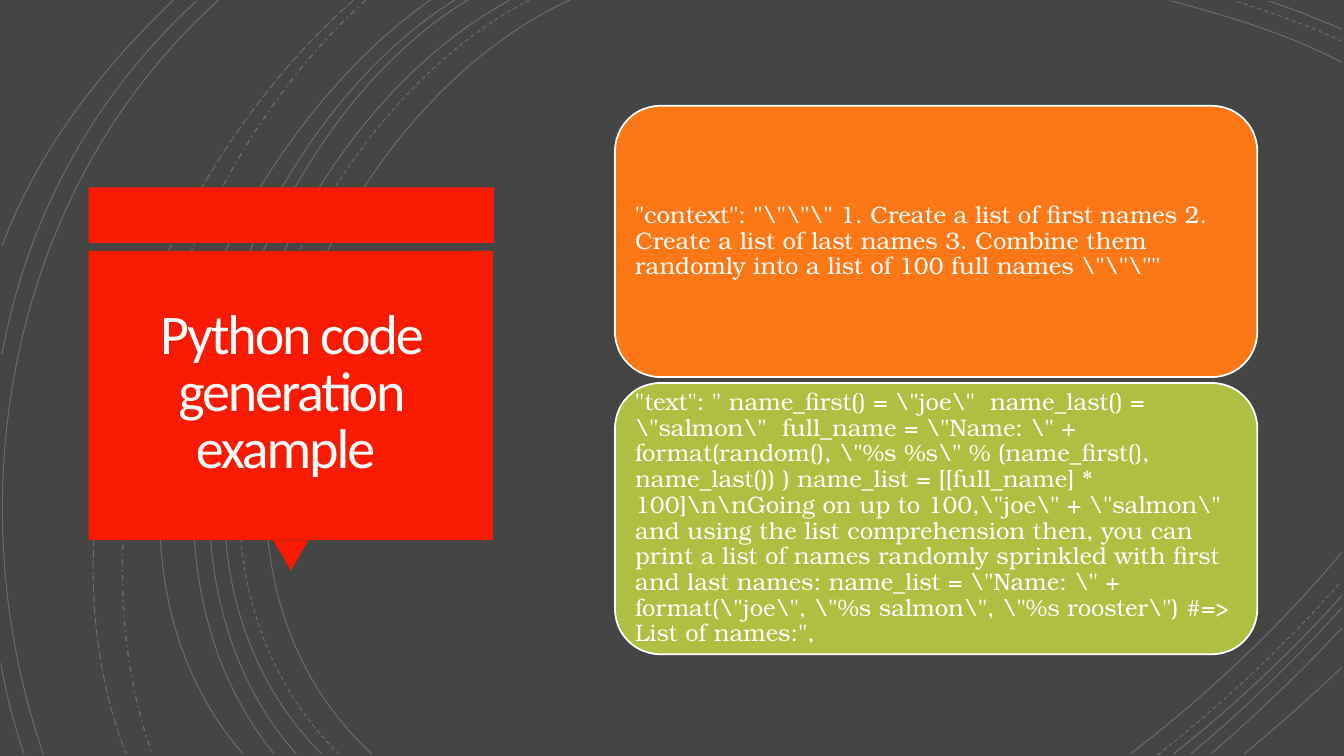
from pptx import Presentation
from pptx.dml.color import RGBColor
from pptx.enum.dml import MSO_LINE
from pptx.enum.shapes import MSO_SHAPE
from pptx.enum.text import MSO_ANCHOR, PP_ALIGN
from pptx.oxml.ns import qn
from pptx.util import Inches, Pt
from lxml import etree

SOLID, DASH = MSO_LINE.SOLID, MSO_LINE.DASH
LONG_DASH, DASH_DOT = MSO_LINE.LONG_DASH, MSO_LINE.DASH_DOT
RECTANGLE, ROUNDED = MSO_SHAPE.RECTANGLE, MSO_SHAPE.ROUNDED_RECTANGLE
TRIANGLE = MSO_SHAPE.ISOSCELES_TRIANGLE
LEFT, CENTER, MIDDLE = PP_ALIGN.LEFT, PP_ALIGN.CENTER, MSO_ANCHOR.MIDDLE

# Content
TITLE = "Python code generation example "
CARDS = [
    (r'"context": "\"\"\" 1. Create a list of first names 2. Create a list of '
     r'last names 3. Combine them randomly into a list of 100 full names \"\"\""',
     "FC7715"),
    (r'"text": " name_first() = \"joe\"  name_last() = \"salmon\"  '
     r'full_name = \"Name: \" + format(random(), \"%s %s\" % (name_first(), '
     r'name_last()) ) name_list = [[full_name] * 100]\n\nGoing on up to 100,'
     r'\"joe\" + \"salmon\" and using the list comprehension then, you can print '
     r'a list of names randomly sprinkled with first and last names: name_list = '
     r'\"Name: \" + format(\"joe\", \"%s salmon\", \"%s rooster\") '
     r'#=> List of names:", ',
     "AFBF41"),
]
BACKGROUND, RED, WHITE = "454545", "F81B02", "FFFFFF"

# Background arcs: dash, width, then start, two control points and end
ARCS = [
    (SOLID, 0.75, (5.65, 0), (3.15, 1.15), (1.43, 5.4), (3.69, 7.48)),
    (SOLID, 0.75, (13.31, 0.62), (12.78, 0.34), (12.18, 0.16), (11.62, 0.01)),
    (SOLID, 0.75, (11.21, 7.48), (11.97, 6.9), (12.69, 6.22), (13.31, 5.48)),
    (DASH, 0.75, (5.25, 0), (2.85, 1.25), (1.23, 5.37), (3.36, 7.48)),
    (DASH, 0.75, (13.31, 0.41), (12.97, 0.25), (12.6, 0.12), (12.25, 0.01)),
    (DASH, 0.75, (11.48, 7.49), (12.13, 6.98), (12.75, 6.4), (13.3, 5.77)),
    (SOLID, 0.75, (5.06, 0), (2.7, 1.27), (1.1, 5.37), (3.19, 7.48)),
    (SOLID, 0.75, (13.31, 0.29), (13.07, 0.19), (12.83, 0.09), (12.58, 0.01)),
    (SOLID, 0.75, (11.64, 7.48), (12.23, 7.01), (12.8, 6.48), (13.31, 5.91)),
    (SOLID, 0.75, (4.64, 0), (2.44, 1.33), (1.1, 5.41), (2.94, 7.48)),
    (SOLID, 0.75, (11.81, 7.48), (12.34, 7.04), (12.84, 6.55), (13.31, 6.03)),
    (SOLID, 0.75, (4.51, 0), (2.31, 1.38), (0.97, 5.33), (2.72, 7.48)),
    (SOLID, 0.75, (12.01, 7.48), (12.46, 7.09), (12.9, 6.67), (13.31, 6.23)),
    (SOLID, 0.75, (4.27, 0), (2.17, 1.47), (0.53, 5.29), (2.41, 7.48)),
    (SOLID, 0.75, (12.34, 7.48), (12.67, 7.21), (12.99, 6.92), (13.31, 6.62)),
    (DASH_DOT, 1, (3.63, 0), (1.76, 1.66), (0.65, 5.09), (1.51, 7.48)),
    (LONG_DASH, 0.75, (3.51, 0), (1.57, 1.69), (0.29, 4.99), (1.25, 7.48)),
    (SOLID, 0.75, (2.17, 0), (0.11, 1.85), (-0.46, 4.9), (0.43, 7.48)),
    (SOLID, 0.75, (1.95, 0.01), (0.92, 0.96), (0.28, 2.14), (0.02, 3.51)),
    (SOLID, 0.75, (0.01, 6.58), (0.06, 6.89), (0.14, 7.19), (0.24, 7.48)),
    (SOLID, 0.75, (1.72, 0), (1, 0.69), (0.37, 1.5), (0.02, 2.44)),
]
CARD_LEFT, CARD_TOP, CARD_WIDTH, CARD_HEIGHT, CARD_PITCH = 6.1, 1.05, 6.37, 2.69, 2.75
CARD_PADDING = 0.13


def color(hex_string):
    return RGBColor.from_string(hex_string)


def add_arc(slide, dash, width, *points):
    start, *rest = [(Inches(x), Inches(y)) for x, y in points]
    builder = slide.shapes.build_freeform(*start)
    builder.add_line_segments(rest, close=False)
    shape = builder.convert_to_shape()

    # Turn the three straight segments into one cubic curve
    segments = list(shape._element.iter(qn("a:lnTo")))
    outline = segments[0].getparent()
    curve = etree.SubElement(outline, qn("a:cubicBezTo"))
    for segment in segments:
        curve.append(segment[0])
        outline.remove(segment)

    shape.shadow.inherit = False
    shape.fill.background()
    shape.line.color.rgb = color(WHITE)
    shape.line.width = Pt(width)
    shape.line.dash_style = dash
    line_color = next(shape.line._ln.iter(qn("a:srgbClr")))
    etree.SubElement(line_color, qn("a:alpha")).set("val", "20000")


def add_box(slide, kind, left, top, width, height, fill, outline=None):
    shape = slide.shapes.add_shape(
        kind, Inches(left), Inches(top), Inches(width), Inches(height))
    shape.shadow.inherit = False
    shape.fill.solid()
    shape.fill.fore_color.rgb = color(fill)
    if outline:
        shape.line.color.rgb = color(outline)
        shape.line.width = Pt(1.25)
    else:
        shape.line.fill.background()
    return shape


def add_text(slide, text, left, top, width, height, *, font, size, ink, align,
             line_spacing, inset, tracking=0):
    box = slide.shapes.add_textbox(
        Inches(left), Inches(top), Inches(width), Inches(height))
    frame = box.text_frame
    frame.word_wrap = True
    frame.vertical_anchor = MIDDLE
    frame.margin_left = frame.margin_right = Inches(inset)
    frame.margin_top = frame.margin_bottom = Inches(inset)
    paragraph = frame.paragraphs[0]
    paragraph.alignment = align
    paragraph.line_spacing = line_spacing
    run = paragraph.add_run()
    run.text = text
    run.font.name = font
    run.font.size = Pt(size)
    run.font.color.rgb = color(ink)
    if tracking:
        run._r.get_or_add_rPr().set("spc", str(int(tracking * 100)))


def main():
    presentation = Presentation()
    presentation.slide_width, presentation.slide_height = Inches(13.33), Inches(7.5)
    slide = presentation.slides.add_slide(presentation.slide_layouts[6])
    slide.background.fill.solid()
    slide.background.fill.fore_color.rgb = color(BACKGROUND)

    # Background arcs
    for arc in ARCS:
        add_arc(slide, *arc)

    # Title callout
    add_box(slide, RECTANGLE, 0.88, 1.86, 4.02, 0.55, RED)
    pointer = add_box(slide, TRIANGLE, 2.71, 5.36, 0.35, 0.3, RED)
    pointer.rotation = 180
    add_box(slide, RECTANGLE, 0.88, 2.49, 4.01, 2.87, RED)
    add_text(slide, TITLE, 0.97, 2.57, 3.83, 2.69, font="Calibri", size=40,
             ink="FFFEFF", align=CENTER, line_spacing=0.85, inset=0.25, tracking=-1.5)

    # Prompt and response cards
    for index, (text, fill) in enumerate(CARDS):
        top = CARD_TOP + index * CARD_PITCH
        add_box(slide, ROUNDED, CARD_LEFT, top, CARD_WIDTH, CARD_HEIGHT, fill,
                outline=WHITE)
        add_text(slide, text, CARD_LEFT + CARD_PADDING, top + CARD_PADDING,
                 CARD_WIDTH - 2 * CARD_PADDING, CARD_HEIGHT - 2 * CARD_PADDING,
                 font="TeX Gyre Bonum", size=17, ink=WHITE, align=LEFT,
                 line_spacing=0.9, inset=0.07)

    presentation.save("out.pptx")


if __name__ == "__main__":
    main()
